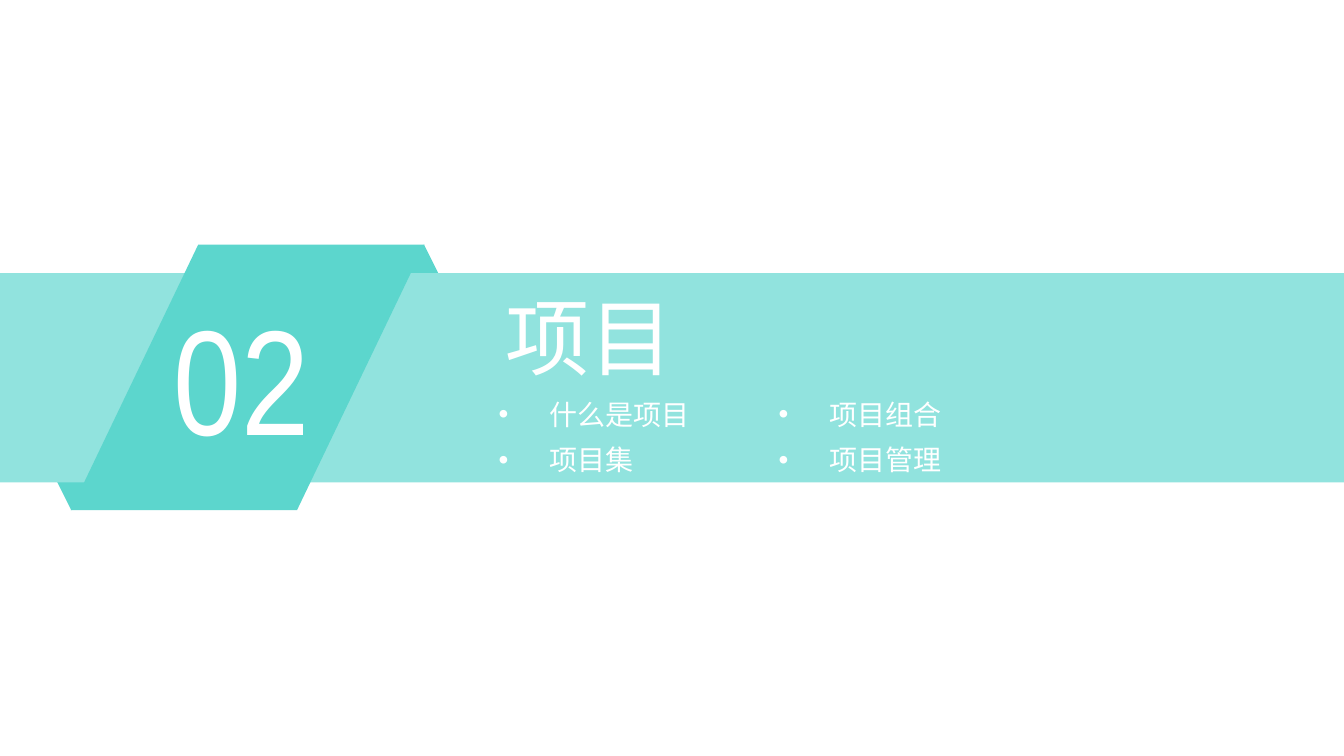
from lxml.etree import SubElement
from pptx import Presentation
from pptx.dml.color import RGBColor
from pptx.enum.shapes import MSO_SHAPE
from pptx.enum.text import MSO_AUTO_SIZE
from pptx.oxml.ns import qn
from pptx.util import Cm, Pt

NUMBER = "02"
TITLE = "项目"
TOPICS = [["什么是项目", "项目组合"], ["项目集", "项目管理"]]
COLORS = {"band": "91E3DE", "badge": "5CD6CD", "text": "FFFFFF"}
WIDTH, HEIGHT = 35.71, 20.09
FOLD = 3.23
TOP, LEFT, WIDE, TALL = 6.5, 1.88, 9.4, 7.06
HANG = 1.35


def add_fill(shapes, kind, box, color, turn=0, slant=None):
    """Add a plain filled shape without outline or shadow."""
    shape = shapes.add_shape(kind, *map(Cm, box))
    shape.shadow.inherit = False
    shape.fill.solid()
    shape.fill.fore_color.rgb = RGBColor.from_string(COLORS[color])
    shape.line.fill.background()
    shape.rotation = turn
    if slant is not None:
        shape.adjustments[0] = slant


def add_text(shapes, text, box, size, font="Arial", space=None, bullet=False):
    """Add a text box in the given format."""
    label = shapes.add_textbox(*map(Cm, box))
    frame = label.text_frame
    frame.word_wrap = True
    frame.auto_size = MSO_AUTO_SIZE.SHAPE_TO_FIT_TEXT
    para = frame.paragraphs[0]
    para.line_spacing = space
    if bullet:
        props = para._p.get_or_add_pPr()
        props.set("marL", str(Cm(HANG)))
        props.set("indent", str(-Cm(HANG)))
        SubElement(props, qn("a:buFont")).set("typeface", "Arial")
        SubElement(props, qn("a:buChar")).set("char", "•")
    run = para.add_run()
    run.text = text
    run.font.size = Pt(size)
    run.font.name = font
    run.font.color.rgb = RGBColor.from_string(COLORS["text"])


def main():
    """Build the section slide."""
    deck = Presentation()
    deck.slide_width, deck.slide_height = Cm(WIDTH), Cm(HEIGHT)
    shapes = deck.slides.add_slide(deck.slide_layouts[6]).shapes

    banner = shapes.add_group_shape().shapes
    base = TOP + TALL - FOLD
    add_fill(banner, MSO_SHAPE.ISOSCELES_TRIANGLE, (9.65, TOP, FOLD, FOLD), "badge")
    add_fill(banner, MSO_SHAPE.ISOSCELES_TRIANGLE, (0.28, base, FOLD, FOLD), "badge", turn=180)
    add_fill(banner, MSO_SHAPE.RECTANGLE, (0, 7.26, WIDTH, 5.56), "band")
    add_fill(banner, MSO_SHAPE.PARALLELOGRAM, (LEFT, TOP, WIDE, TALL), "badge", slant=0.48)
    add_text(banner, NUMBER, (4.37, 7.47, 5.16, 5.08), 112.5, font="Arial Narrow")

    add_text(shapes, TITLE, (13.18, 6.65, 14.12, 3.43), 63.3, space=1.3)
    for row, line in enumerate(TOPICS):
        for col, topic in enumerate(line):
            box = (13 + col * 7.44, 10.16 + row * 1.22, 6.68, 1.32)
            add_text(shapes, topic, box, 21.1, space=1.3, bullet=True)

    deck.save("out.pptx")


if __name__ == "__main__":
    main()
